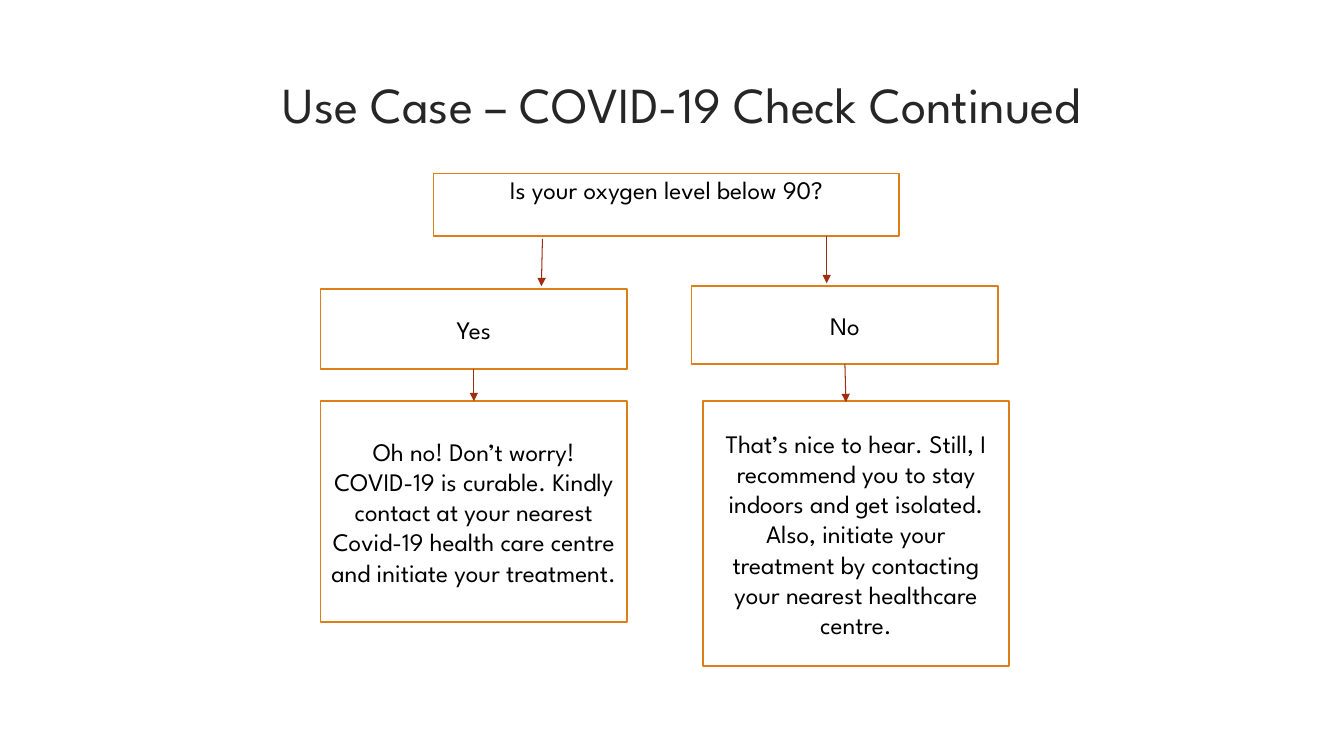
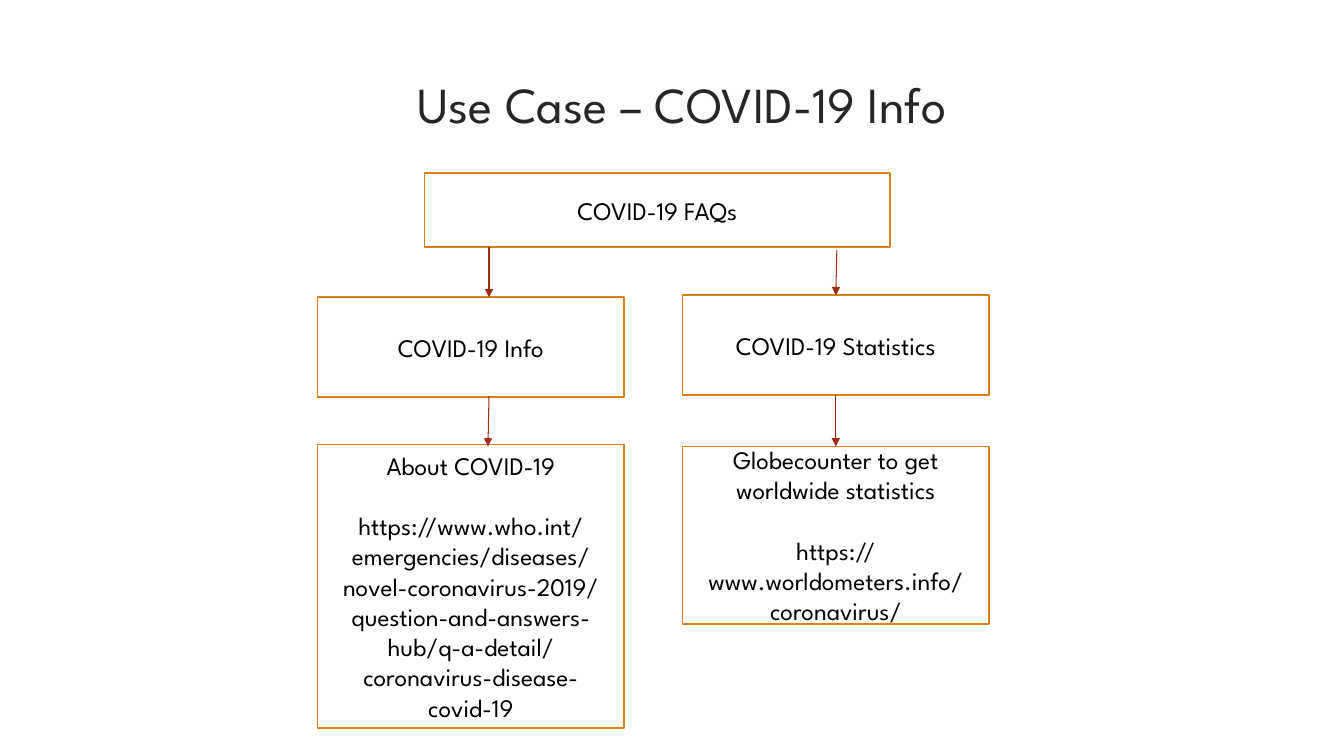
from lxml.etree import SubElement
from pptx import Presentation
from pptx.dml.color import RGBColor
from pptx.enum.shapes import MSO_CONNECTOR, MSO_SHAPE
from pptx.enum.text import MSO_ANCHOR, PP_ALIGN
from pptx.oxml.ns import qn
from pptx.util import Inches, Pt

COLOURS = {
    "title": "262626",
    "text": "000000",
    "fill": "FFFFFF",
    "border": "DE7E18",
    "arrow": "9E2E0F",
}
FONT = "League Spartan"
ROOT_WIDTH = 4.62
BRANCH_WIDTH = 3.04
TOP, BOTTOM = 0, 2


def colour(name):
    """Return a named colour of the deck."""
    return RGBColor.from_string(COLOURS[name])


def style_paragraph(paragraph, size, colour_name):
    """Centre a paragraph and set its font."""
    paragraph.alignment = PP_ALIGN.CENTER
    paragraph.font.name = FONT
    paragraph.font.size = Pt(size)
    paragraph.font.color.rgb = colour(colour_name)


def add_page(deck, title):
    """Add a blank page with a centred title."""
    page = deck.slides.add_slide(deck.slide_layouts[6])
    box = page.shapes.add_textbox(Inches(0.95), Inches(0.68), Inches(11.63), Inches(1.4))
    box.text_frame.word_wrap = True
    box.text_frame.text = title
    style_paragraph(box.text_frame.paragraphs[0], 36, "title")
    return page


def add_step(page, left, top, width, height, *texts):
    """Add an outlined box whose paragraphs stand one line apart."""
    box = page.shapes.add_shape(
        MSO_SHAPE.RECTANGLE, Inches(left), Inches(top), Inches(width), Inches(height)
    )
    box.shadow.inherit = False
    box.fill.solid()
    box.fill.fore_color.rgb = colour("fill")
    box.line.color.rgb = colour("border")
    box.line.width = Pt(1.25)
    frame = box.text_frame
    frame.word_wrap = True
    frame.vertical_anchor = MSO_ANCHOR.MIDDLE
    frame.text = "\n".join(texts)
    for index, paragraph in enumerate(frame.paragraphs):
        style_paragraph(paragraph, 18, "text")
        if index:
            paragraph.space_before = Pt(21.6)
    return box


def add_arrow(page, start, end, source=None, target=None):
    """Add an arrow, joined to the source's bottom and the target's top if given."""
    arrow = page.shapes.add_connector(
        MSO_CONNECTOR.STRAIGHT, *(Inches(value) for value in (*start, *end))
    )
    if source is not None:
        arrow.begin_connect(source, BOTTOM)
    if target is not None:
        arrow.end_connect(target, TOP)
    arrow.line.color.rgb = colour("arrow")
    arrow.line.width = Pt(0.75)
    SubElement(arrow.line._get_or_add_ln(), qn("a:tailEnd"), type="triangle")
    SubElement(arrow._element.spPr, qn("a:effectLst"))


def add_check_page(deck):
    """Build the oxygen level decision."""
    page = add_page(deck, "Use Case – COVID-19 Check Continued")
    question = add_step(page, 4.3, 1.72, ROOT_WIDTH, 0.62, "Is your oxygen level below 90?")
    question.text_frame.vertical_anchor = MSO_ANCHOR.TOP
    question.text_frame.margin_top = Inches(0.01)
    yes = add_step(page, 3.18, 2.87, BRANCH_WIDTH, 0.79, "Yes")
    no = add_step(page, 6.86, 2.84, BRANCH_WIDTH, 0.77, "No")
    yes_advice = add_step(
        page, 3.18, 3.98, BRANCH_WIDTH, 2.19,
        "Oh no! Don’t worry! COVID-19 is curable. Kindly contact at your nearest "
        "Covid-19 health care centre and initiate your treatment.",
    )
    add_step(
        page, 6.97, 3.98, BRANCH_WIDTH, 2.63,
        "That’s nice to hear. Still, I recommend you to stay indoors and get isolated. "
        "Also, initiate your treatment by contacting your nearest healthcare centre.",
    )
    add_arrow(page, (5.38, 2.37), (5.37, 2.84))
    add_arrow(page, (8.2, 2.34), (8.2, 2.81))
    add_arrow(page, (4.7, 3.66), (4.7, 3.98), yes, yes_advice)
    add_arrow(page, (8.38, 3.61), (8.39, 3.99), no)


def add_info_page(deck):
    """Build the information and statistics branches."""
    page = add_page(deck, "Use Case – COVID-19 Info")
    add_step(page, 4.21, 1.72, ROOT_WIDTH, 0.73, "COVID-19 FAQs")
    add_step(page, 3.15, 2.95, BRANCH_WIDTH, 0.99, "COVID-19 Info")
    statistics = add_step(page, 6.77, 2.93, BRANCH_WIDTH, 0.99, "COVID-19 Statistics")
    add_step(
        page, 3.15, 4.41, BRANCH_WIDTH, 2.81,
        "About COVID-19",
        "https://www.who.int/emergencies/diseases/novel-coronavirus-2019/"
        "question-and-answers-hub/q-a-detail/coronavirus-disease-covid-19",
    )
    statistics_source = add_step(
        page, 6.77, 4.43, BRANCH_WIDTH, 1.76,
        "Globecounter to get worldwide statistics",
        "https://www.worldometers.info/coronavirus/",
    )
    add_arrow(page, (4.85, 2.45), (4.85, 2.95))
    add_arrow(page, (8.3, 2.48), (8.29, 2.93), target=statistics)
    add_arrow(page, (4.85, 3.93), (4.84, 4.43))
    add_arrow(page, (8.29, 3.92), (8.29, 4.43), statistics, statistics_source)


def main():
    """Build and save the deck."""
    deck = Presentation()
    deck.slide_width = Inches(13.33)
    deck.slide_height = Inches(7.5)
    add_check_page(deck)
    add_info_page(deck)
    deck.save("out.pptx")


if __name__ == "__main__":
    main()
